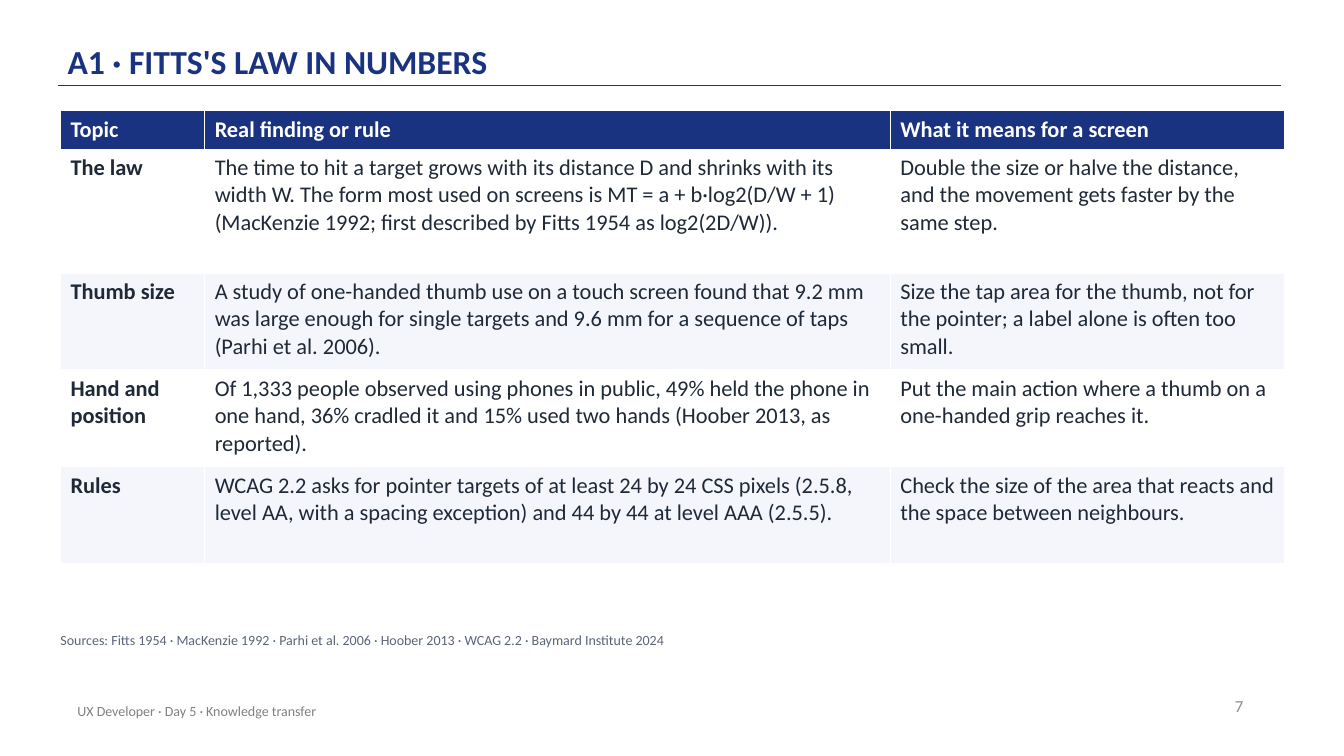
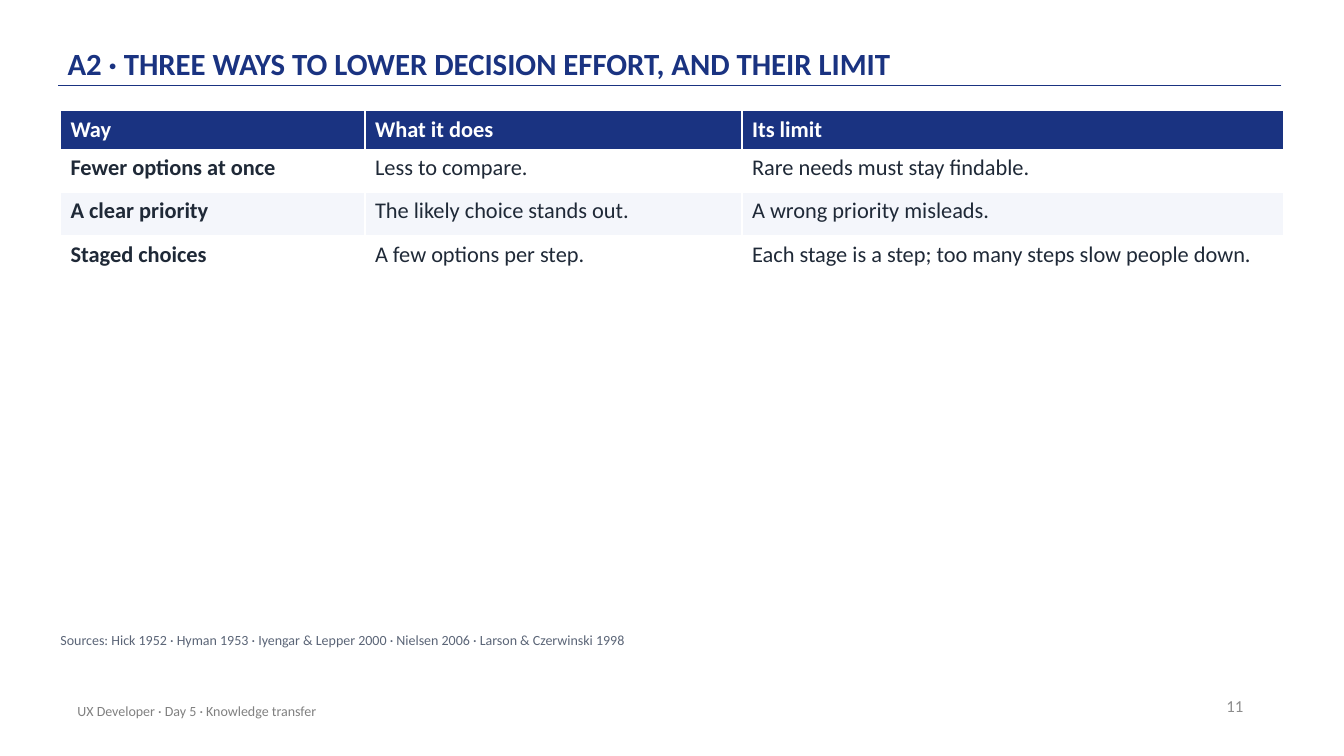
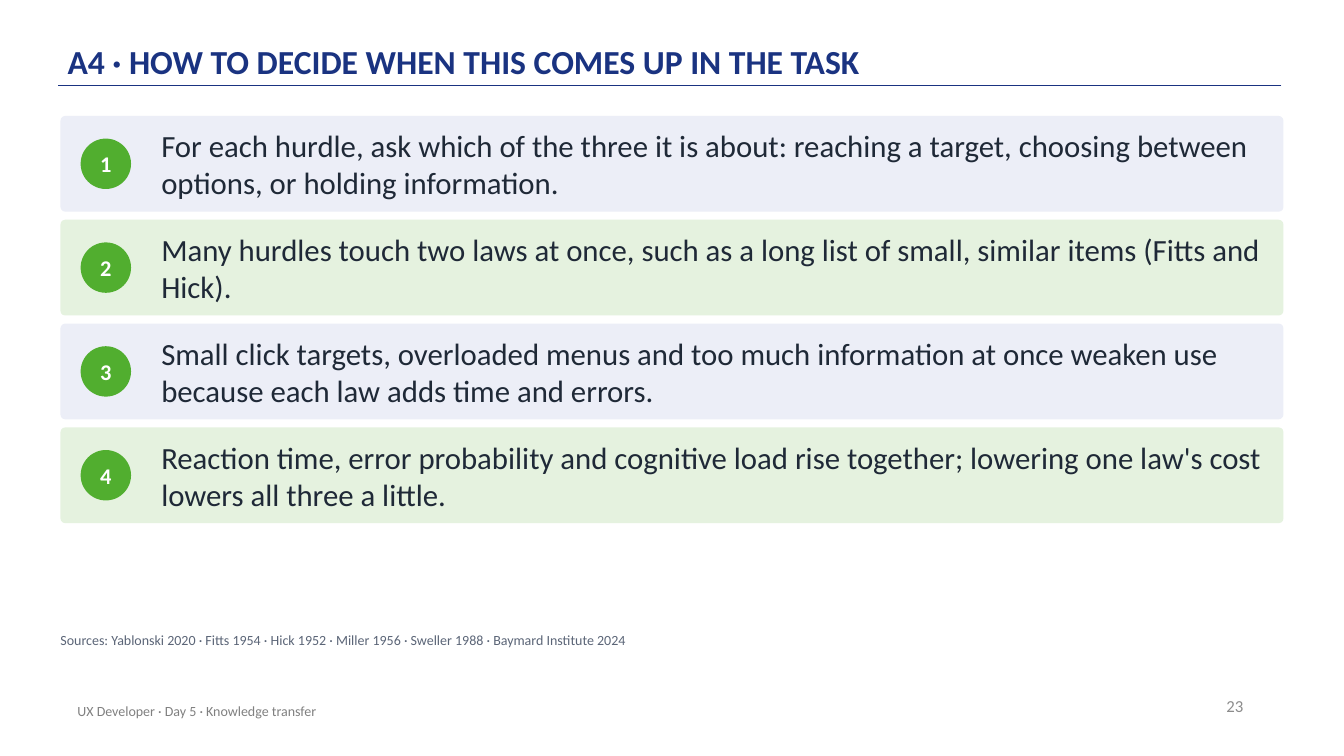
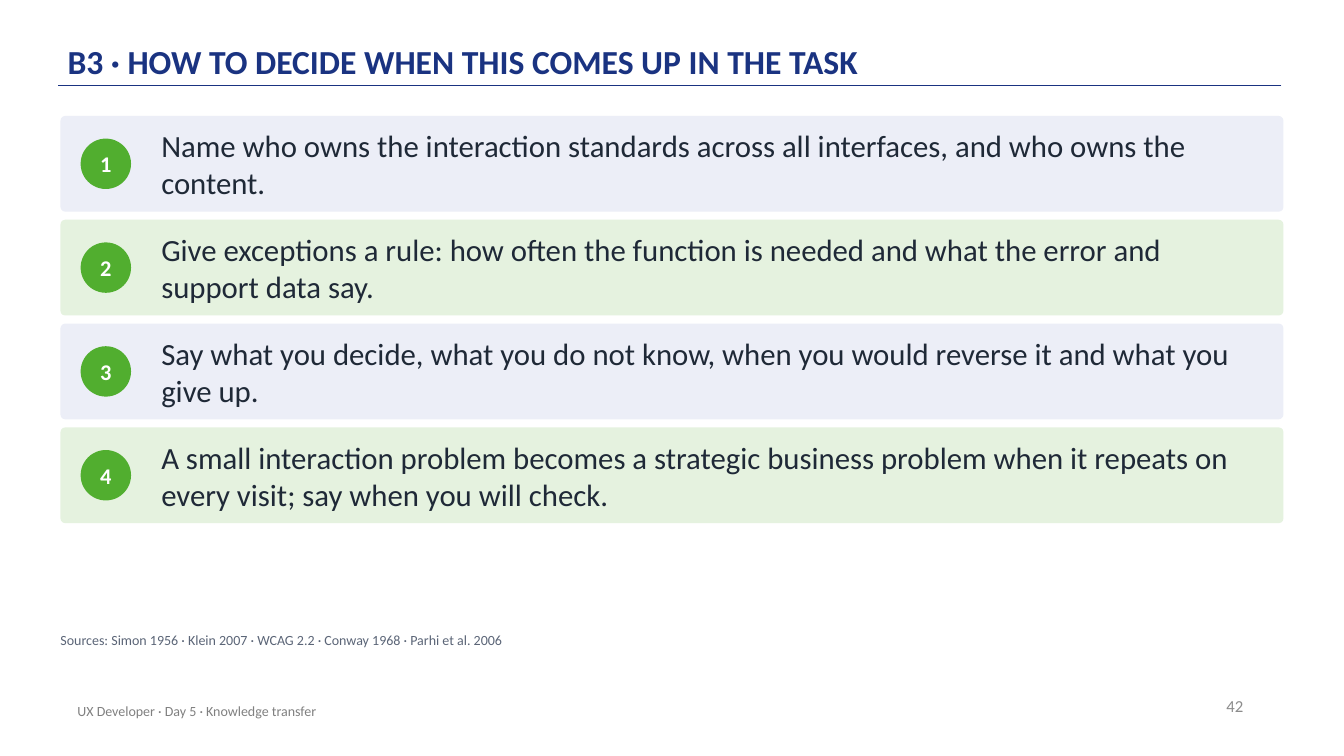
from lxml.etree import SubElement
from pptx import Presentation
from pptx.dml.color import RGBColor
from pptx.enum.shapes import MSO_CONNECTOR, MSO_SHAPE
from pptx.enum.text import MSO_ANCHOR, PP_ALIGN
from pptx.oxml.ns import qn
from pptx.util import Inches, Pt

FONT = "Calibri"
COLOURS = {
    "navy": "1A3381",
    "ink": "1F2937",
    "white": "FFFFFF",
    "band": "F4F6FB",
    "lavender": "ECEEF7",
    "mint": "E5F2DF",
    "green": "51AE2F",
    "source": "5B6577",
    "footer": "808080",
    "number": "8C8C8C",
}
FOOTER = "UX Developer · Day 5 · Knowledge transfer"
LEFT, WIDTH = 0.6, 12.13
DEFAULT_INSETS = (0.1, 0.05, 0.1, 0.05)
NO_INSETS = (0, 0, 0, 0)


def colour(name):
    return RGBColor.from_string(COLOURS[name])


class Deck:
    """Holds the shared style and the slide being built."""

    def __init__(self):
        self.presentation = Presentation()
        self.presentation.slide_width = Inches(13.33)
        self.presentation.slide_height = Inches(7.5)
        self.slide = None

    def add_slide(self, title, number, sources, title_size=24):
        layout = self.presentation.slide_layouts[6]
        self.slide = self.presentation.slides.add_slide(layout)
        self.rule(12.71, 0.58, 0.85)
        heading = self.text(title, (0.67, 0.12, 11, 0.72), title_size, "navy", bold=True,
                            anchor=MSO_ANCHOR.BOTTOM, insets=(0, 0.03, 0, 0.03))
        heading.line_spacing = 0.9
        self.text(str(number), (9.43, 6.8, 3, 0.4), 12, "number",
                  align=PP_ALIGN.RIGHT, insets=DEFAULT_INSETS)
        self.text(FOOTER, (0.67, 6.85, 6.7, 0.4), 10, "footer", insets=DEFAULT_INSETS)
        source_line = self.text("Sources: " + " · ".join(sources), (LEFT, 6.27, 12.1, 0.3),
                                10, "source", anchor=MSO_ANCHOR.TOP)
        source_line.space_after = Pt(6)

    def rule(self, start, end, top):
        line = self.slide.shapes.add_connector(
            MSO_CONNECTOR.STRAIGHT, Inches(start), Inches(top), Inches(end), Inches(top))
        line.line.color.rgb = colour("navy")
        line.line.width = Pt(1)
        SubElement(line._element.spPr, qn("a:effectLst"))

    def fill_text(self, frame, text, size, colour_name, bold=False, align=PP_ALIGN.LEFT):
        frame.word_wrap = True
        paragraph = frame.paragraphs[0]
        paragraph.alignment = align
        run = paragraph.add_run()
        run.text = text
        run.font.name = FONT
        run.font.size = Pt(size)
        run.font.bold = bold
        run.font.color.rgb = colour(colour_name)
        return paragraph

    def set_insets(self, frame, insets):
        (frame.margin_left, frame.margin_top,
         frame.margin_right, frame.margin_bottom) = map(Inches, insets)

    def text(self, text, box, size, colour_name, bold=False, align=PP_ALIGN.LEFT,
             anchor=MSO_ANCHOR.MIDDLE, insets=NO_INSETS):
        frame = self.slide.shapes.add_textbox(*map(Inches, box)).text_frame
        frame.vertical_anchor = anchor
        self.set_insets(frame, insets)
        return self.fill_text(frame, text, size, colour_name, bold, align)

    def shape(self, kind, box, fill):
        shape = self.slide.shapes.add_shape(kind, *map(Inches, box))
        shape.shadow.inherit = False
        shape.fill.solid()
        shape.fill.fore_color.rgb = colour(fill)
        shape.line.fill.background()
        return shape

    def badge(self, number, left, top, size):
        frame = self.shape(MSO_SHAPE.OVAL, (left, top, size, size), "green").text_frame
        frame.vertical_anchor = MSO_ANCHOR.MIDDLE
        self.set_insets(frame, NO_INSETS)
        self.fill_text(frame, str(number), 16, "white", True, PP_ALIGN.CENTER)

    def table(self, column_widths, row_heights, rows):
        table = self.slide.shapes.add_table(
            len(rows), len(column_widths), Inches(LEFT), Inches(1.1),
            Inches(WIDTH), Inches(sum(row_heights))).table
        for column, width in zip(table.columns, column_widths):
            column.width = Inches(width)
        for row, height in zip(table.rows, row_heights):
            row.height = Inches(height)
        for row_index, texts in enumerate(rows):
            header = row_index == 0
            fill = "navy" if header else ("band", "white")[row_index % 2]
            for column_index, text in enumerate(texts):
                cell = table.cell(row_index, column_index)
                cell.fill.solid()
                cell.fill.fore_color.rgb = colour(fill)
                self.fill_text(cell.text_frame, text, 16, "white" if header else "ink",
                               bold=header or column_index == 0)

    def steps(self, texts):
        height, pitch, badge_size = 0.95, 1.03, 0.5
        for index, text in enumerate(texts):
            top = 1.15 + index * pitch
            card = self.shape(MSO_SHAPE.ROUNDED_RECTANGLE, (LEFT, top, WIDTH, height),
                              ("lavender", "mint")[index % 2])
            card.adjustments[0] = 0.05
            self.badge(index + 1, 0.8, top + (height - badge_size) / 2, badge_size)
            self.text(text, (1.6, top, 10.93, height), 22, "ink")


def main():
    deck = Deck()

    # Fitts's law
    deck.add_slide("A1 · FITTS'S LAW IN NUMBERS", 7,
                   ["Fitts 1954", "MacKenzie 1992", "Parhi et al. 2006", "Hoober 2013",
                    "WCAG 2.2", "Baymard Institute 2024"])
    deck.table([1.43, 6.8, 3.91], [0.38, 1.23, 0.96, 0.96, 0.96], [
        ("Topic", "Real finding or rule", "What it means for a screen"),
        ("The law",
         "The time to hit a target grows with its distance D and shrinks with its width W. "
         "The form most used on screens is MT = a + b·log2(D/W + 1) "
         "(MacKenzie 1992; first described by Fitts 1954 as log2(2D/W)).",
         "Double the size or halve the distance, and the movement gets faster by the same step."),
        ("Thumb size",
         "A study of one-handed thumb use on a touch screen found that 9.2 mm was large enough "
         "for single targets and 9.6 mm for a sequence of taps (Parhi et al. 2006).",
         "Size the tap area for the thumb, not for the pointer; a label alone is often too small."),
        ("Hand and position",
         "Of 1,333 people observed using phones in public, 49% held the phone in one hand, "
         "36% cradled it and 15% used two hands (Hoober 2013, as reported).",
         "Put the main action where a thumb on a one-handed grip reaches it."),
        ("Rules",
         "WCAG 2.2 asks for pointer targets of at least 24 by 24 CSS pixels (2.5.8, level AA, "
         "with a spacing exception) and 44 by 44 at level AAA (2.5.5).",
         "Check the size of the area that reacts and the space between neighbours."),
    ])

    # Decision effort
    deck.add_slide("A2 · THREE WAYS TO LOWER DECISION EFFORT, AND THEIR LIMIT", 11,
                   ["Hick 1952", "Hyman 1953", "Iyengar & Lepper 2000", "Nielsen 2006",
                    "Larson & Czerwinski 1998"], title_size=22)
    deck.table([3.02, 3.74, 5.37], [0.38, 0.43, 0.43, 0.69], [
        ("Way", "What it does", "Its limit"),
        ("Fewer options at once", "Less to compare.", "Rare needs must stay findable."),
        ("A clear priority", "The likely choice stands out.", "A wrong priority misleads."),
        ("Staged choices", "A few options per step.",
         "Each stage is a step; too many steps slow people down."),
    ])

    # Deciding between the laws
    deck.add_slide("A4 · HOW TO DECIDE WHEN THIS COMES UP IN THE TASK", 23,
                   ["Yablonski 2020", "Fitts 1954", "Hick 1952", "Miller 1956",
                    "Sweller 1988", "Baymard Institute 2024"])
    deck.steps([
        "For each hurdle, ask which of the three it is about: reaching a target, "
        "choosing between options, or holding information.",
        "Many hurdles touch two laws at once, such as a long list of small, "
        "similar items (Fitts and Hick).",
        "Small click targets, overloaded menus and too much information at once "
        "weaken use because each law adds time and errors.",
        "Reaction time, error probability and cognitive load rise together; "
        "lowering one law's cost lowers all three a little.",
    ])

    # Deciding on standards
    deck.add_slide("B3 · HOW TO DECIDE WHEN THIS COMES UP IN THE TASK", 42,
                   ["Simon 1956", "Klein 2007", "WCAG 2.2", "Conway 1968",
                    "Parhi et al. 2006"])
    deck.steps([
        "Name who owns the interaction standards across all interfaces, "
        "and who owns the content.",
        "Give exceptions a rule: how often the function is needed "
        "and what the error and support data say.",
        "Say what you decide, what you do not know, when you would reverse it "
        "and what you give up.",
        "A small interaction problem becomes a strategic business problem "
        "when it repeats on every visit; say when you will check.",
    ])

    deck.presentation.save("out.pptx")


if __name__ == "__main__":
    main()
